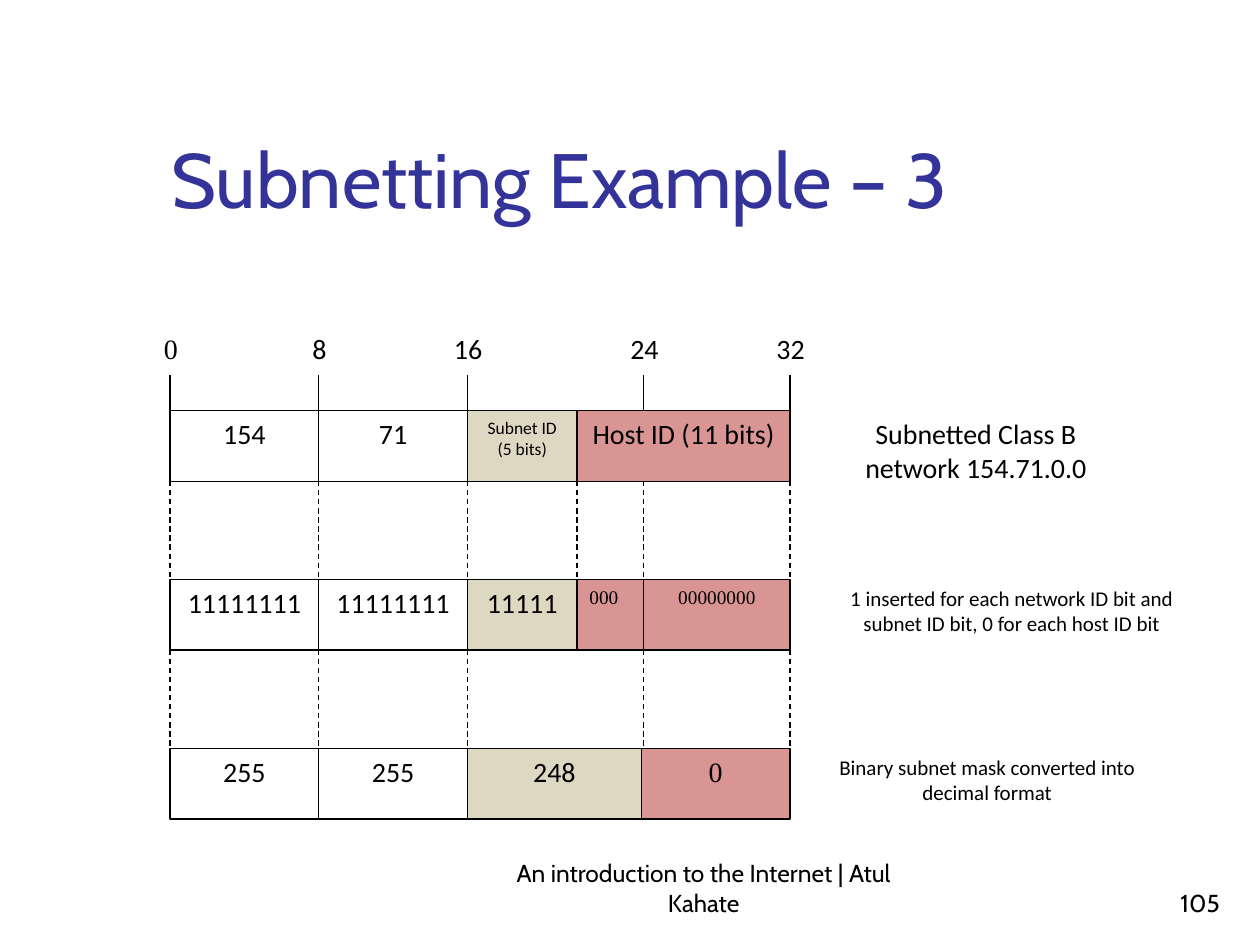
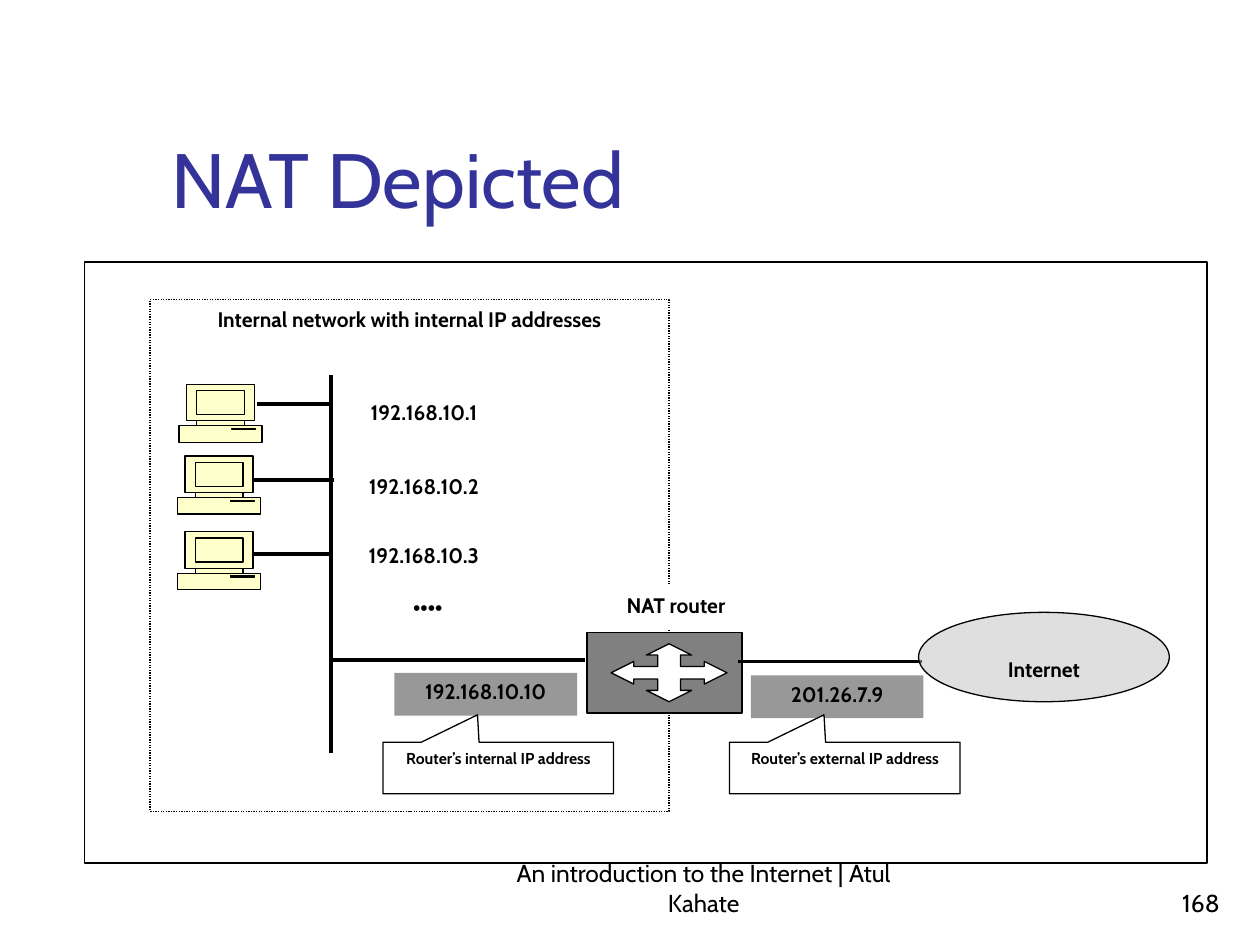
from pptx import Presentation
from pptx.dml.color import RGBColor
from pptx.enum.dml import MSO_LINE
from pptx.enum.shapes import MSO_CONNECTOR, MSO_SHAPE
from pptx.enum.text import MSO_ANCHOR, MSO_AUTO_SIZE, PP_ALIGN
from pptx.oxml.ns import qn
from pptx.oxml.xmlchemy import OxmlElement
from pptx.util import Emu, Pt

# Shared look: 100 px make one inch
PX = 9144
COLORS = {
    "title": "333399", "ink": "000000", "paper": "FFFFFF",
    "subnet": "DDD8C2", "host": "D99594", "router": "808080",
    "address": "333333", "cloud": "C0C0C0", "computer": "FFFFCC",
}
HEADING_FONT, BODY_FONT, DIGIT_FONT = "Cabin", "Calibri", "Times New Roman"
FOOTER = "An introduction to the Internet | Atul Kahate"


def px(length):
    return Emu(length * PX)


def color(name):
    return RGBColor.from_string(COLORS[name])


def write(shape, text, size=12, font=HEADING_FONT, ink="ink", bold=False,
          align=PP_ALIGN.CENTER, anchor=MSO_ANCHOR.TOP, after=0,
          inset_top=5, inset_bottom=5):
    frame = shape.text_frame
    frame.word_wrap = True
    frame.auto_size = MSO_AUTO_SIZE.NONE
    frame.vertical_anchor = anchor
    frame.margin_left = frame.margin_right = px(10)
    frame.margin_top, frame.margin_bottom = px(inset_top), px(inset_bottom)
    para = frame.paragraphs[0]
    para.alignment = align
    para.space_after = Pt(after)
    span = para.add_run()
    span.text = text
    span.font.name, span.font.size, span.font.bold = font, Pt(size), bold
    span.font.color.rgb = color(ink)


def paint(shape, fill, line="ink", dash=None, alpha=None):
    shape.shadow.inherit = False
    shape.fill.solid()
    shape.fill.fore_color.rgb = color(fill)
    if alpha:
        opacity = OxmlElement("a:alpha")
        opacity.set("val", str(alpha * 1000))
        shape.element.spPr.find(qn("a:solidFill"))[0].append(opacity)
    if line:
        shape.line.color.rgb = color(line)
        shape.line.width = Pt(0.75)
        if dash:
            shape.line.dash_style = dash
    else:
        shape.line.fill.background()


def add_box(page, left, top, width, height, fill="paper", text=None,
            kind=MSO_SHAPE.RECTANGLE, line="ink", dash=None, alpha=None, **style):
    box = page.shapes.add_shape(kind, px(left), px(top), px(width), px(height))
    paint(box, fill, line, dash, alpha)
    if text:
        write(box, text, **style)
    return box


def add_outline(page, left, top, points, fill):
    corners = [(left + x, top + y) for x, y in points]
    builder = page.shapes.build_freeform(*corners[0], scale=PX)
    builder.add_line_segments(corners[1:], close=True)
    paint(builder.convert_to_shape(), fill)


def add_line(page, x1, y1, x2, y2, width=0.75, dash=None):
    line = page.shapes.add_connector(
        MSO_CONNECTOR.STRAIGHT, px(x1), px(y1), px(x2), px(y2))
    line.line.color.rgb = color("ink")
    line.line.width = Pt(width)
    if dash:
        line.line.dash_style = dash
    line._element.spPr.append(OxmlElement("a:effectLst"))


def add_page(deck, title, number):
    page = deck.slides.add_slide(deck.slide_layouts[5])
    heading = page.shapes.title
    heading.left, heading.top = px(126), px(23)
    heading.width, heading.height = px(852), px(160)
    write(heading, title, size=44, ink="title", align=PP_ALIGN.LEFT,
          anchor=MSO_ANCHOR.BOTTOM)
    for text, left, width, align in ((FOOTER, 400, 317, PP_ALIGN.CENTER),
                                     (number, 770, 208, PP_ALIGN.RIGHT)):
        box = page.shapes.add_textbox(px(left), px(683), px(width), px(50))
        write(box, text, size=14, align=align, anchor=MSO_ANCHOR.BOTTOM)
    return page


def add_bit_scale(page, marks):
    for bit, x in marks.items():
        add_box(page, x - 35, 258, 71, 39, text=str(bit), line="paper", size=16,
                font=BODY_FONT if bit else DIGIT_FONT, after=10)
        add_line(page, x, 298, x, 326)


def add_address_row(page, top, cells):
    """Each cell is left, right, fill, text and its format."""
    for left, right, fill, text, style in cells:
        style = {"size": 16, "font": BODY_FONT, **style}
        add_box(page, left, top, right - left, 56, fill, text, after=10, **style)


def build_subnetting(deck):
    page = add_page(deck, "Subnetting Example – 3", "105")
    marks = {0: 135, 8: 253, 16: 371, 24: 511, 32: 627}
    start, second, subnet, last, end = marks.values()
    host = 458
    tops = [326 + 134 * row for row in range(3)]
    digits = {"font": DIGIT_FONT, "size": 11}

    add_bit_scale(page, marks)

    # Guides between the rows
    for top, guides in zip(tops, ([*marks.values(), host], marks.values())):
        for x in guides:
            add_line(page, x, top + 56, x, top + 134, dash=MSO_LINE.DASH)

    # Address, binary mask and decimal mask
    rows = [
        ("154", "71", [
            (subnet, host, "subnet", "Subnet ID (5 bits)", {"size": 10}),
            (host, end, "host", "Host ID (11 bits)", {})]),
        ("11111111", "11111111", [
            (subnet, host, "subnet", "11111", {}),
            (host, last, "host", "000", {**digits, "align": PP_ALIGN.LEFT}),
            (last, end, "host", "00000000", digits)]),
        ("255", "255", [
            (subnet, 509, "subnet", "248", {}),
            (509, end, "host", "0", {"font": DIGIT_FONT})]),
    ]
    for top, (octet1, octet2, rest) in zip(tops, rows):
        network = [(start, second, "paper", octet1, {}),
                   (second, subnet, "paper", octet2, {})]
        add_address_row(page, top, network + rest)

    # Row captions
    captions = [
        (647, 255, 16, "Subnetted Class B network 154.71.0.0"),
        (656, 294, 12, "1 inserted for each network ID bit and subnet ID bit, "
                       "0 for each host ID bit"),
        (656, 255, 12, "Binary subnet mask converted into decimal format"),
    ]
    for top, (left, width, size, text) in zip(tops, captions):
        add_box(page, left, top, width, 56, text=text, line="paper",
                size=size, font=BODY_FONT, after=10)


def add_computer(page, left, top):
    body = [(52, 33), (52, 29), (60, 29), (60, 0), (6, 0), (6, 29), (14, 29),
            (14, 33), (0, 33), (0, 46), (66, 46), (66, 33)]
    add_outline(page, left, top, body, "computer")
    neck, screen, slot = (14, 29, 38, 4), (14, 5, 38, 19), (42, 35, 19, 1)
    for x, y, width, height in (neck, screen, slot):
        add_box(page, left + x, top + y, width, height, "computer")


def add_router(page):
    add_box(page, 466, 502, 123, 64, "router")
    quarter = [(0, -23), (18, -14), (9, -14), (9, -5), (28, -5), (28, -9), (46, 0)]
    half = quarter + [(x, -y) for x, y in reversed(quarter[:-1])]
    arrows = half + [(-x, -y) for x, y in half[1:-1]]
    add_outline(page, 531, 534, arrows, "paper")
    add_box(page, 460, 465, 153, 35, text="NAT router", line=None, bold=True)


def build_nat(deck):
    page = add_page(deck, "NAT Depicted", "168")
    add_box(page, 67, 208, 891, 477)
    add_box(page, 119, 238, 412, 406, dash=MSO_LINE.ROUND_DOT, bold=True,
            text="Internal network with internal IP addresses")

    add_router(page)

    # Computers with their addresses
    computers = [(142, 305, 204, 321, 263, 312), (141, 362, 201, 381, 265, 371),
                 (141, 422, 201, 440, 263, 426)]
    for host, (left, top, x1, y, x2, label_top) in enumerate(computers, 1):
        add_computer(page, left, top)
        add_box(page, 268, label_top, 137, 33, text=f"192.168.10.{host}",
                line=None, bold=True)
        add_line(page, x1, y, x2, y, width=2.25)
    add_box(page, 277, 467, 125, 26, text="••••", line=None, font="Arial")

    # Bus and links to the router
    for ends in ((263, 298, 263, 598), (262, 524, 464, 524), (586, 525, 732, 525)):
        add_line(page, *ends, width=2.25)

    add_box(page, 729, 486, 199, 71, "cloud", "Internet", kind=MSO_SHAPE.OVAL,
            alpha=50, bold=True, inset_top=25, inset_bottom=0)

    # Router addresses with callouts
    addresses = [(313, 534, 145, "192.168.10.10", 304, "internal"),
                 (596, 536, 137, "201.26.7.9", 579, "external")]
    for left, top, width, address, note_left, side in addresses:
        add_box(page, left, top, width, 34, "address", address, line=None,
                alpha=50, bold=True)
        note = add_box(page, note_left, 589, 183, 41, size=9, bold=True,
                       text=f"Router’s {side} IP address",
                       kind=MSO_SHAPE.RECTANGULAR_CALLOUT)
        note.adjustments[0], note.adjustments[1] = -0.09, -1.03


def main():
    deck = Presentation()
    deck.slide_width, deck.slide_height = px(1000), px(750)
    build_subnetting(deck)
    build_nat(deck)
    deck.save("out.pptx")


if __name__ == "__main__":
    main()
